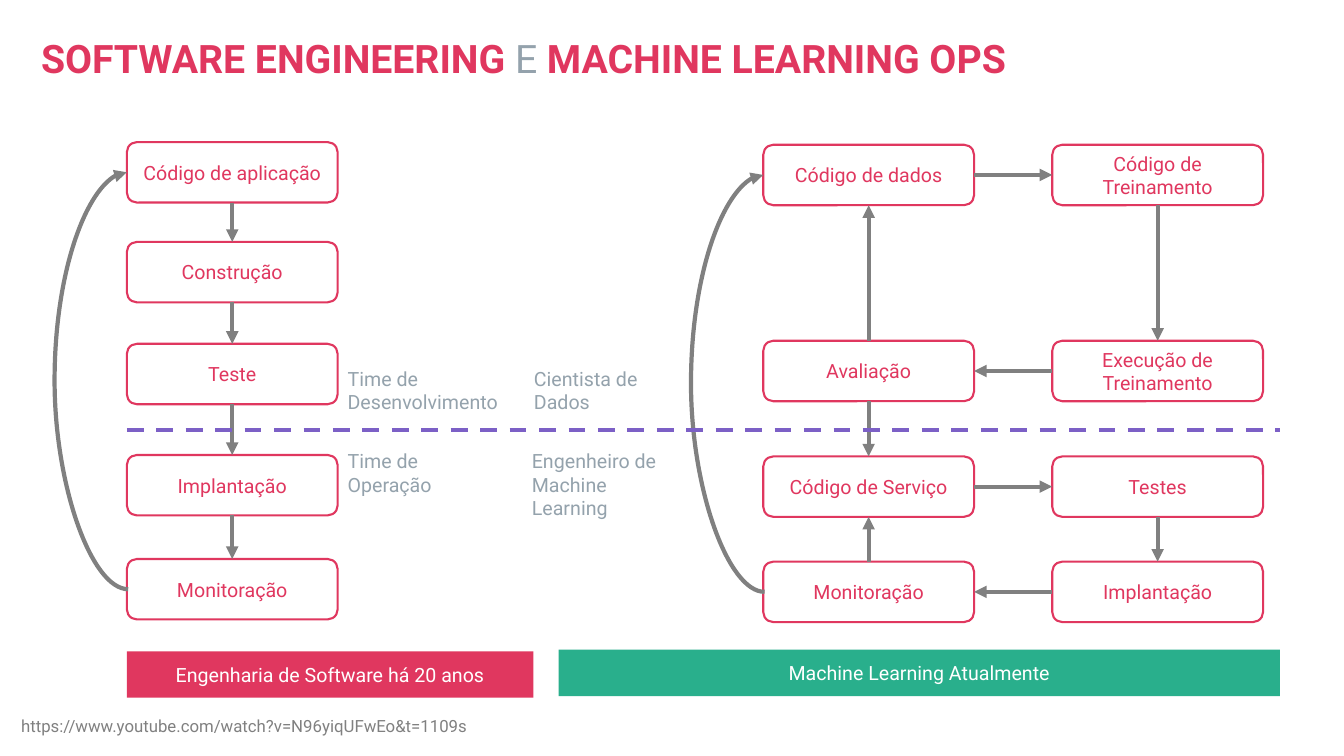
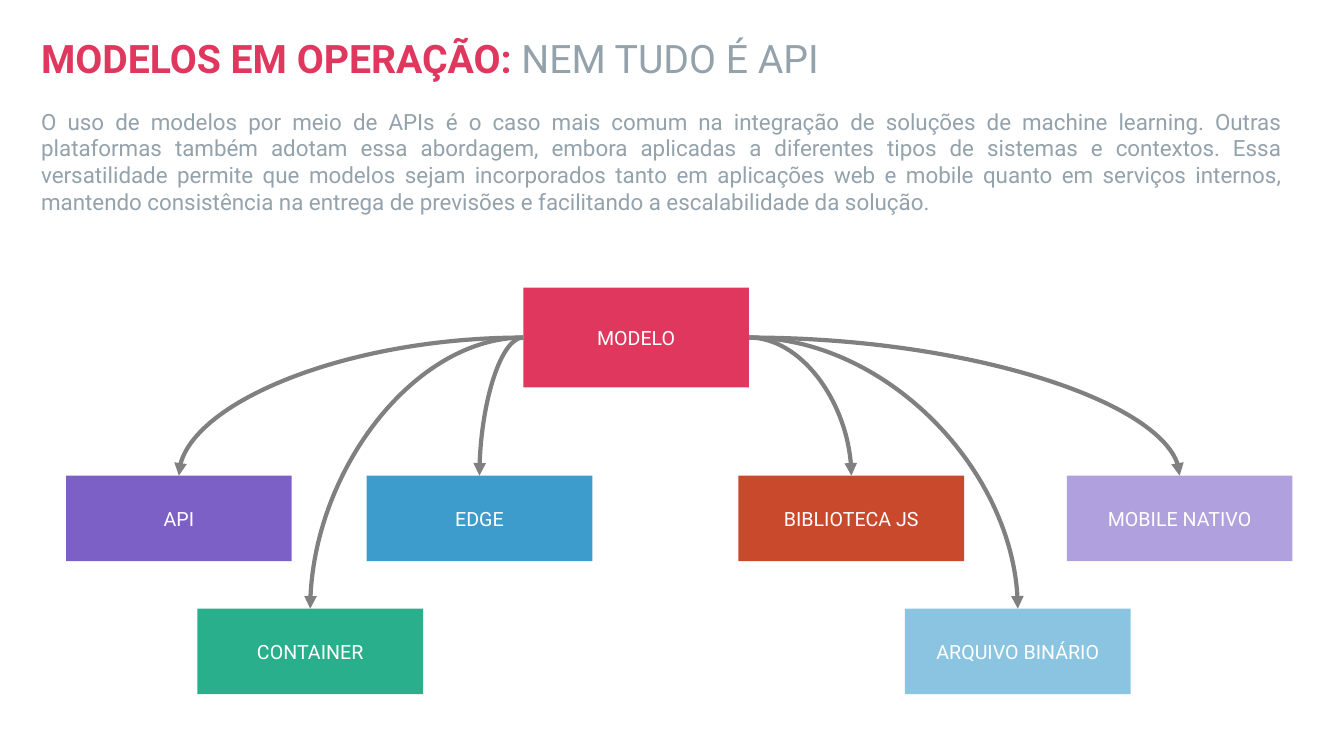
"""Build two slides on software engineering, machine learning ops and model delivery."""
from lxml import etree
from pptx import Presentation
from pptx.dml.color import RGBColor as RGB
from pptx.enum.dml import MSO_LINE as Dash
from pptx.enum.shapes import MSO_CONNECTOR as Wire, MSO_SHAPE as Shape
from pptx.enum.text import MSO_ANCHOR as Anchor, PP_ALIGN as Align
from pptx.oxml.ns import qn
from pptx.util import Pt

INK = {
    "red": "E0375F", "slate": "94A2AC", "gray": "808080", "white": "FFFFFF",
    "violet": "7C60C6", "green": "29AF8C", "blue": "3D9CCC", "rust": "C9492C",
    "lilac": "B0A0DD", "sky": "8BC4E0",
}
FONT = "Roboto"
TOP, LEFT, BOTTOM, RIGHT = range(4)


def put(slide, text, at, ink, size=14, kind=None, fill=None, edge=None, align=None):
    spot = [Pt(n) for n in at]
    if kind is None:
        item = slide.shapes.add_textbox(*spot)
    else:
        item = slide.shapes.add_shape(kind, *spot)
        item.shadow.inherit = False
        item.fill.background()
        item.line.fill.background()
        item.text_frame.vertical_anchor = Anchor.MIDDLE
        align = Align.CENTER
    if fill:
        item.fill.solid()
        item.fill.fore_color.rgb = RGB.from_string(INK[fill])
    if edge:
        item.line.color.rgb = RGB.from_string(INK[edge])
        item.line.width = Pt(1.5)
    item.text_frame.word_wrap = True
    item.text_frame.text = text
    for para in item.text_frame.paragraphs:
        para.alignment = align
        for run in para.runs:
            run.font.name = FONT
            run.font.size = Pt(size)
            run.font.color.rgb = RGB.from_string(INK[ink])
    return item


def draw(slide, kind=Wire.STRAIGHT, ends=None, at=(0, 0, 0, 0), ink="gray"):
    wire = slide.shapes.add_connector(kind, *[Pt(n) for n in at])
    wire.line.color.rgb = RGB.from_string(INK[ink])
    wire.line.width = Pt(3)
    if ends:
        start, out, stop, into = ends
        wire.begin_connect(start, out)
        wire.end_connect(stop, into)
        line = wire.line._get_or_add_ln()
        etree.SubElement(line, qn("a:tailEnd"), type="triangle")
    etree.SubElement(wire._element.spPr, qn("a:effectLst"))
    return wire


deck = Presentation()
deck.slide_width, deck.slide_height = Pt(960), Pt(540)

titles = [
    [("SOFTWARE ENGINEERING ", True), ("E ", False), ("MACHINE LEARNING OPS", True)],
    [("MODELOS EM OPERAÇÃO: ", True), ("NEM TUDO É API", False)],
]
for parts in titles:
    slide = deck.slides.add_slide(deck.slide_layouts[6])
    head = put(slide, "", (22.3, 20.9, 828, 45.4), "red")
    head.text_frame.vertical_anchor = Anchor.MIDDLE
    para = head.text_frame.paragraphs[0]
    para.line_spacing = 0.9
    for text, bold in parts:
        run = para.add_run()
        run.text = text
        run.font.name = FONT
        run.font.size = Pt(28)
        run.font.bold = bold
        run.font.color.rgb = RGB.from_string(INK["red" if bold else "slate"])

ops, models = deck.slides

steps = {
    "app": ("Código de aplicação", 90.6, 101.5),
    "build": ("Construção", 90.6, 172.8),
    "test": ("Teste", 90.6, 245.6),
    "ship": ("Implantação", 90.6, 325),
    "watch": ("Monitoração", 90.6, 399.3),
    "data": ("Código de dados", 545.2, 103.4),
    "train": ("Código de Treinamento", 751.6, 103.4),
    "run": ("Execução de Treinamento", 751.6, 243.4),
    "score": ("Avaliação", 545.2, 243.4),
    "serve": ("Código de Serviço", 545.2, 326),
    "check": ("Testes", 751.6, 326),
    "launch": ("Implantação", 751.6, 401.2),
    "track": ("Monitoração", 545.2, 401.2),
}
box = {
    key: put(ops, text, (x, y, 150.6, 43.2), "red", kind=Shape.ROUNDED_RECTANGLE, edge="red")
    for key, (text, x, y) in steps.items()
}

flows = [
    ("app", BOTTOM, "build", TOP), ("build", BOTTOM, "test", TOP),
    ("test", BOTTOM, "ship", TOP), ("ship", BOTTOM, "watch", TOP),
    ("data", RIGHT, "train", LEFT), ("train", BOTTOM, "run", TOP),
    ("run", LEFT, "score", RIGHT), ("score", TOP, "data", BOTTOM),
    ("score", BOTTOM, "serve", TOP), ("serve", RIGHT, "check", LEFT),
    ("check", BOTTOM, "launch", TOP), ("launch", LEFT, "track", RIGHT),
    ("track", TOP, "serve", BOTTOM),
]
for start, out, stop, into in flows:
    draw(ops, ends=(box[start], out, box[stop], into))

for start, stop in [("watch", "app"), ("track", "data")]:
    loop = draw(ops, Wire.CURVE, (box[start], LEFT, box[stop], LEFT))
    loop.begin_x += Pt(1)
    guides = loop._element.spPr.find(qn("a:prstGeom")).get_or_add_avLst()
    etree.SubElement(guides, qn("a:gd"), name="adj1", fmla="val 5300000")

split = draw(ops, at=(90.6, 307.3, 914.4, 307.3), ink="violet")
split.line.dash_style = Dash.DASH

roles = [
    ("Time de\nDesenvolvimento", 241.2, 258.3, 123, 41),
    ("Time de\nOperação", 241.2, 317.2, 84, 41),
    ("Cientista de Dados", 374.3, 258.3, 123, 41),
    ("Engenheiro de Machine Learning", 372.8, 317.2, 123, 58),
]
for text, *at in roles:
    put(ops, text, at, "slate")

put(ops, "https://www.youtube.com/watch?v=N96yiqUFwEo&t=1109s", (8, 508, 480, 21.8), "gray", 12)

eras = [
    ("Engenharia de Software há 20 anos", 90.6, 465.2, 290.5, "red"),
    ("Machine Learning Atualmente", 399, 464, 515.2, "green"),
]
for text, x, y, wide, fill in eras:
    put(ops, text, (x, y, wide, 33.2), "white", kind=Shape.RECTANGLE, fill=fill)

put(
    models,
    "O uso de modelos por meio de APIs é o caso mais comum na integração de soluções de "
    "machine learning. Outras plataformas também adotam essa abordagem, embora aplicadas a "
    "diferentes tipos de sistemas e contextos. Essa versatilidade permite que modelos sejam "
    "incorporados tanto em aplicações web e mobile quanto em serviços internos, mantendo "
    "consistência na entrega de previsões e facilitando a escalabilidade da solução.",
    (22.3, 73.4, 900.6, 85), "slate", 16, align=Align.JUSTIFY,
)

wide, high, upper, lower = 161.2, 61, 339.8, 434.8
core = put(models, "MODELO", (373.8, 205.5, wide, 71.3), "white", kind=Shape.RECTANGLE, fill="red")
forms = [
    ("API", 47.2, upper, "violet", LEFT),
    ("EDGE", 261.9, upper, "blue", LEFT),
    ("BIBLIOTECA JS", 527.5, upper, "rust", RIGHT),
    ("MOBILE NATIVO", 762, upper, "lilac", RIGHT),
    ("CONTAINER", 141, lower, "green", LEFT),
    ("ARQUIVO BINÁRIO", 646.4, lower, "sky", RIGHT),
]
for text, x, y, fill, side in forms:
    form = put(models, text, (x, y, wide, high), "white", kind=Shape.RECTANGLE, fill=fill)
    bend = draw(models, Wire.CURVE, (core, side, form, TOP))
    bend._element.spPr.find(qn("a:prstGeom")).set("prst", "curvedConnector2")

deck.save("out.pptx")
